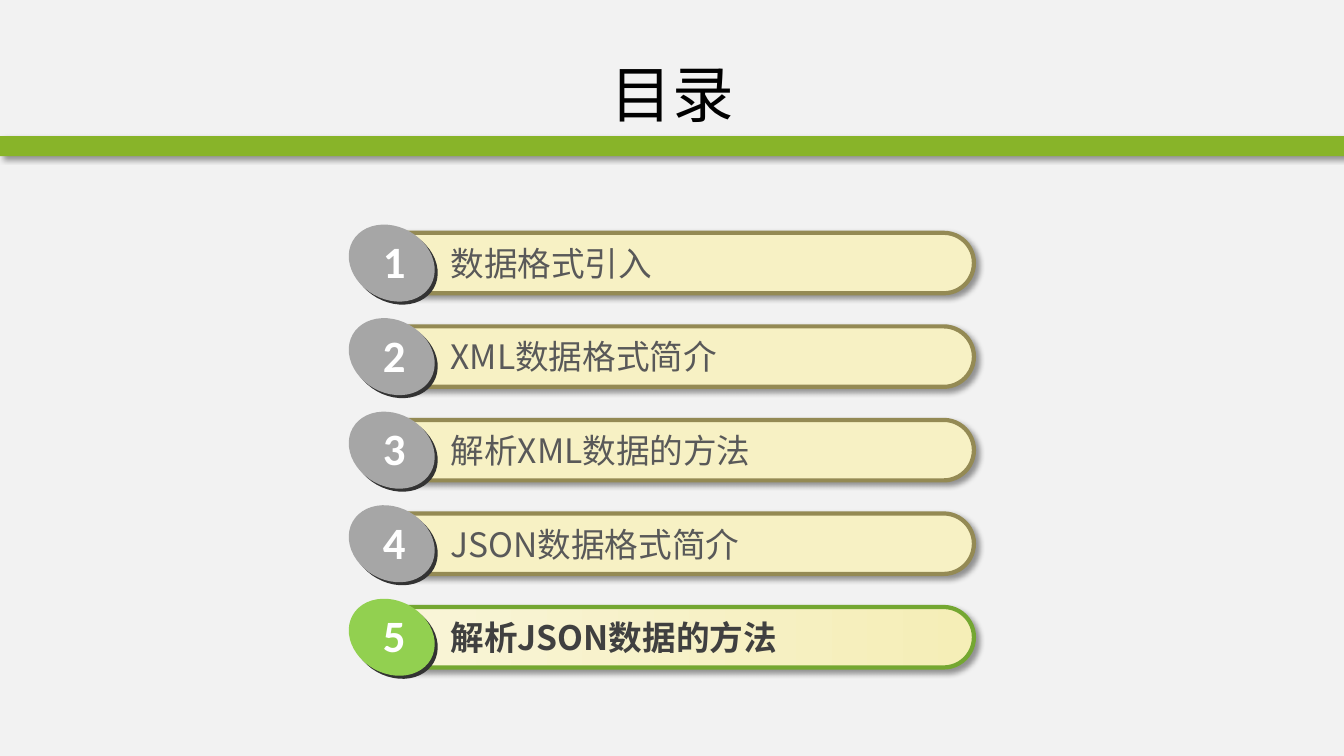
"""Build the contents slide with five numbered chapters, the last one highlighted."""
from dataclasses import dataclass

from lxml.etree import SubElement
from pptx import Presentation
from pptx.dml.color import RGBColor
from pptx.enum.shapes import MSO_SHAPE
from pptx.enum.text import MSO_ANCHOR, MSO_AUTO_SIZE, PP_ALIGN
from pptx.oxml.ns import qn
from pptx.shapes.autoshape import Shape
from pptx.shapes.group import GroupShape
from pptx.text.text import TextFrame
from pptx.util import Inches, Pt

BACKGROUND = RGBColor(0xF2, 0xF2, 0xF2)
BAND_GREEN = RGBColor(0x88, 0xB4, 0x29)
BLACK = RGBColor(0x00, 0x00, 0x00)
WHITE = RGBColor(0xFF, 0xFF, 0xFF)
DISC_EDGE = RGBColor(0x33, 0x33, 0x33)
DISC_GREY = RGBColor(0xA6, 0xA6, 0xA6)
DISC_GREEN = RGBColor(0x92, 0xD0, 0x50)
CREAM = RGBColor(0xF7, 0xF1, 0xC4)
CREAM_LIGHT = RGBColor(0xF9, 0xF5, 0xD9)
CREAM_DARK = RGBColor(0xF5, 0xEE, 0xB7)
OLIVE = RGBColor(0x94, 0x8A, 0x54)
LEAF_GREEN = RGBColor(0x74, 0xA7, 0x31)
TEXT_GREY = RGBColor(0x59, 0x59, 0x59)
TEXT_DARK = RGBColor(0x40, 0x40, 0x40)

CJK_FONT = "Noto Sans CJK SC"
NUMBER_FONT = "Calibri"
FIRST_TOP = 2.25
ROW_PITCH = 0.928


@dataclass(frozen=True)
class Chapter:
    """A chapter of the contents list."""

    name: str
    current: bool = False


CHAPTERS = [
    Chapter("数据格式引入"),
    Chapter("XML数据格式简介"),
    Chapter("解析XML数据的方法"),
    Chapter("JSON数据格式简介"),
    Chapter("解析JSON数据的方法", current=True),
]


def write(frame: TextFrame, text: str, *, size: float, color: RGBColor, font: str = CJK_FONT,
          bold: bool = False, align: PP_ALIGN = PP_ALIGN.LEFT) -> None:
    """Put one formatted paragraph into a text frame."""
    paragraph = frame.paragraphs[0]
    paragraph.alignment = align
    run = paragraph.add_run()
    run.text = text
    run.font.size = Pt(size)
    run.font.bold = bold
    run.font.name = font
    run.font.color.rgb = color
    SubElement(run.font._element, qn("a:ea"), typeface=font)


def add_solid(shapes, kind: MSO_SHAPE, left: float, top: float, width: float, height: float,
              color: RGBColor) -> Shape:
    """Add a flat preset shape without outline or shadow."""
    shape = shapes.add_shape(kind, Inches(left), Inches(top), Inches(width), Inches(height))
    shape.shadow.inherit = False
    shape.fill.solid()
    shape.fill.fore_color.rgb = color
    shape.line.fill.background()
    return shape


def cast_shadow(shape: Shape) -> None:
    """Give a shape a soft shadow to the lower right."""
    effects = shape._element.spPr.find(qn("a:effectLst"))
    shadow = SubElement(effects, qn("a:outerShdw"), blurRad=str(Pt(4)), dist=str(Pt(3)),
                        dir=str(45 * 60000), algn="tl", rotWithShape="0")
    tint = SubElement(shadow, qn("a:srgbClr"), val=str(BLACK))
    SubElement(tint, qn("a:alpha"), val="40000")


def add_label(group: GroupShape, left: float, top: float, width: float, height: float,
              wrap: bool) -> TextFrame:
    """Add an empty text box that grows with its text."""
    label = group.shapes.add_textbox(Inches(left), Inches(top), Inches(width), Inches(height))
    label.text_frame.word_wrap = wrap
    label.text_frame.auto_size = MSO_AUTO_SIZE.SHAPE_TO_FIT_TEXT
    return label.text_frame


def add_chapter(group: GroupShape, number: int, chapter: Chapter, top: float) -> None:
    """Draw one chapter: pill, name, disc and number."""
    pill = add_solid(group.shapes, MSO_SHAPE.ROUNDED_RECTANGLE, 3.66, top + 0.06, 6, 0.6, CREAM)
    pill.adjustments[0] = 0.5
    if chapter.current:
        pill.fill.gradient()
        pill.fill.gradient_angle = 0
        for stop, color in zip(pill.fill.gradient_stops, (CREAM_LIGHT, CREAM_DARK)):
            stop.color.rgb = color
    pill.line.color.rgb = LEAF_GREEN if chapter.current else OLIVE
    pill.line.width = Pt(3)
    cast_shadow(pill)

    name = add_label(group, 4.37, top + 0.11, 5.09, 0.5, wrap=True)
    write(name, chapter.name, size=24, bold=chapter.current,
          color=TEXT_DARK if chapter.current else TEXT_GREY)

    disc_color = DISC_GREEN if chapter.current else DISC_GREY
    for offset, color in ((0.03, DISC_EDGE), (0, disc_color)):
        disc = add_solid(group.shapes, MSO_SHAPE.OVAL, 3.44 + offset, top + offset, 0.89, 0.72, color)
        disc.rotation = 29.3

    numeral = add_label(group, 3.7, top + 0.02, 0.43, 0.64, wrap=False)
    write(numeral, str(number), size=32, color=WHITE, font=NUMBER_FONT, bold=True)


def main() -> None:
    """Build and save the slide."""
    deck = Presentation()
    deck.slide_width, deck.slide_height = Inches(13.33), Inches(7.5)
    slide = deck.slides.add_slide(deck.slide_layouts[5])
    slide.background.fill.solid()
    slide.background.fill.fore_color.rgb = BACKGROUND

    band = add_solid(slide.shapes, MSO_SHAPE.RECTANGLE, 0, 1.35, 13.33, 0.2, BAND_GREEN)
    cast_shadow(band)

    for index, chapter in enumerate(CHAPTERS):
        group = slide.shapes.add_group_shape()
        add_chapter(group, index + 1, chapter, FIRST_TOP + index * ROW_PITCH)

    title = slide.shapes.title
    title.left, title.top = Inches(0.67), Inches(0.3)
    title.width, title.height = Inches(12), Inches(1.25)
    title.text_frame.vertical_anchor = MSO_ANCHOR.MIDDLE
    write(title.text_frame, "目录", size=44, color=BLACK, align=PP_ALIGN.CENTER)

    deck.save("out.pptx")


if __name__ == "__main__":
    main()
